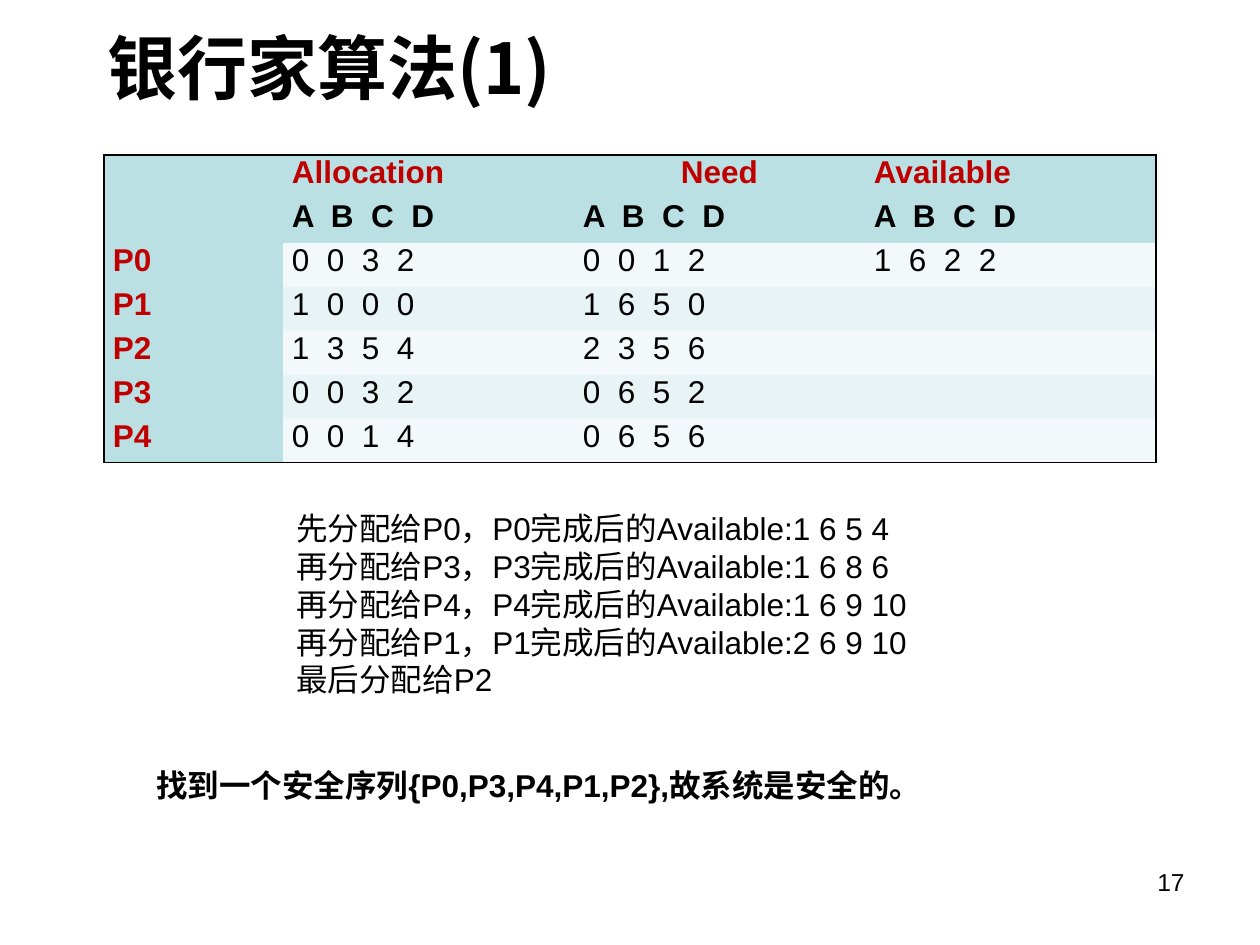
from lxml.etree import SubElement
from pptx import Presentation
from pptx.dml.color import RGBColor
from pptx.enum.text import MSO_ANCHOR as ANCHOR, PP_ALIGN as ALIGN
from pptx.oxml import parse_xml
from pptx.oxml.ns import nsdecls, qn
from pptx.util import Pt

PX = 914400 // 126
CJK = "Noto Sans CJK SC"
BLACK, RED, TEAL = "000000", "C00000", "BBE0E3"
BANDS = ("F3F9FA", "E7F3F4")


def px(n):
    return n * PX


def color(value):
    return RGBColor.from_string(value)


def style(p, size, bold=False, c=BLACK, font="Arial", align=None):
    p.font.size, p.font.bold, p.font.name = Pt(size), bold, font
    p.font.color.rgb = color(c)
    SubElement(p._p.pPr.find(qn("a:defRPr")), qn("a:ea"), typeface=CJK)
    if align is not None:
        p.alignment = align


def add_text(slide, box, lines, size, anchor=ANCHOR.TOP, **kw):
    tf = slide.shapes.add_textbox(*map(px, box)).text_frame
    tf.word_wrap = True
    tf.vertical_anchor = anchor
    tf.text = "\n".join(lines)
    for p in tf.paragraphs:
        style(p, size, **kw)


def add_borders(cell, sides):
    tcPr = cell._tc.get_or_add_tcPr()
    for i, side in enumerate("LRTB"):
        line = (f'<a:solidFill><a:srgbClr val="{BLACK}"/></a:solidFill>'
                if side in sides else "<a:noFill/>")
        tcPr.insert(i, parse_xml(
            f'<a:ln{side} {nsdecls("a")} w="12700">{line}</a:ln{side}>'))


def add_resource_table(slide, box, rows, col_widths):
    n_rows, n_cols = len(rows), len(col_widths)
    frame = slide.shapes.add_table(n_rows, n_cols, *map(px, box))
    table = frame.table
    for col, width in zip(table.columns, col_widths):
        col.width = px(width)
    for r, values in enumerate(rows):
        table.rows[r].height = px(box[3] // n_rows)
        for c, value in enumerate(values):
            cell = table.cell(r, c)
            cell.margin_left = cell.margin_right = px(9)
            cell.margin_top = cell.margin_bottom = 0
            # Heading rows and process names share one fill, data rows alternate
            heading = r < 2 or c == 0
            cell.fill.solid()
            cell.fill.fore_color.rgb = color(TEAL if heading else BANDS[r % 2])
            cell.text = value
            style(cell.text_frame.paragraphs[0], 18, bold=heading,
                  c=RED if r == 0 or c == 0 else BLACK,
                  align=ALIGN.CENTER if value == "Need" else ALIGN.JUSTIFY)
            # Only the outer frame is ruled
            edges = {"L": c == 0, "R": c == n_cols - 1,
                     "T": r == 0, "B": r == n_rows - 1}
            add_borders(cell, [side for side, on in edges.items() if on])


def spaced(digits):
    return "  ".join(digits)


prs = Presentation()
prs.slide_width, prs.slide_height = px(1260), px(945)
slide = prs.slides.add_slide(prs.slide_layouts[6])

# Title
add_text(slide, (95, 26, 1071, 81), ["银行家算法(1)".replace("(", "(").replace(")", ")")],
         40, ANCHOR.MIDDLE, bold=True, font=CJK)

# Allocation table
needs = [("0032", "0012", "1622"), ("1000", "1650", ""), ("1354", "2356", ""),
         ("0032", "0652", ""), ("0014", "0656", "")]
rows = [("", "Allocation", "Need", "Available"), ("",) + (spaced("ABCD"),) * 3]
rows += [(f"P{i}", *map(spaced, row)) for i, row in enumerate(needs)]
add_resource_table(slide, (104, 155, 1052, 308), rows, (179, 291, 291, 291))

# Conclusion
add_text(slide, (144, 760, 973, 50),
         ["找到一个安全序列{P0,P3,P4,P1,P2},故系统是安全的。".replace(",", ",")],
         18, bold=True)

# Allocation steps
steps = [("先", "P0", "1 6 5 4"), ("再", "P3", "1 6 8 6"),
         ("再", "P4", "1 6 9 10"), ("再", "P1", "2 6 9 10")]
add_text(slide, (284, 503, 683, 204),
         [f"{when}分配给{p}\uff0c{p}完成后的Available:{left}" for when, p, left in steps]
         + ["最后分配给P2"], 18)

# Slide number
add_text(slide, (903, 861, 294, 66), ["17"], 14, align=ALIGN.RIGHT)

prs.save("out.pptx")
